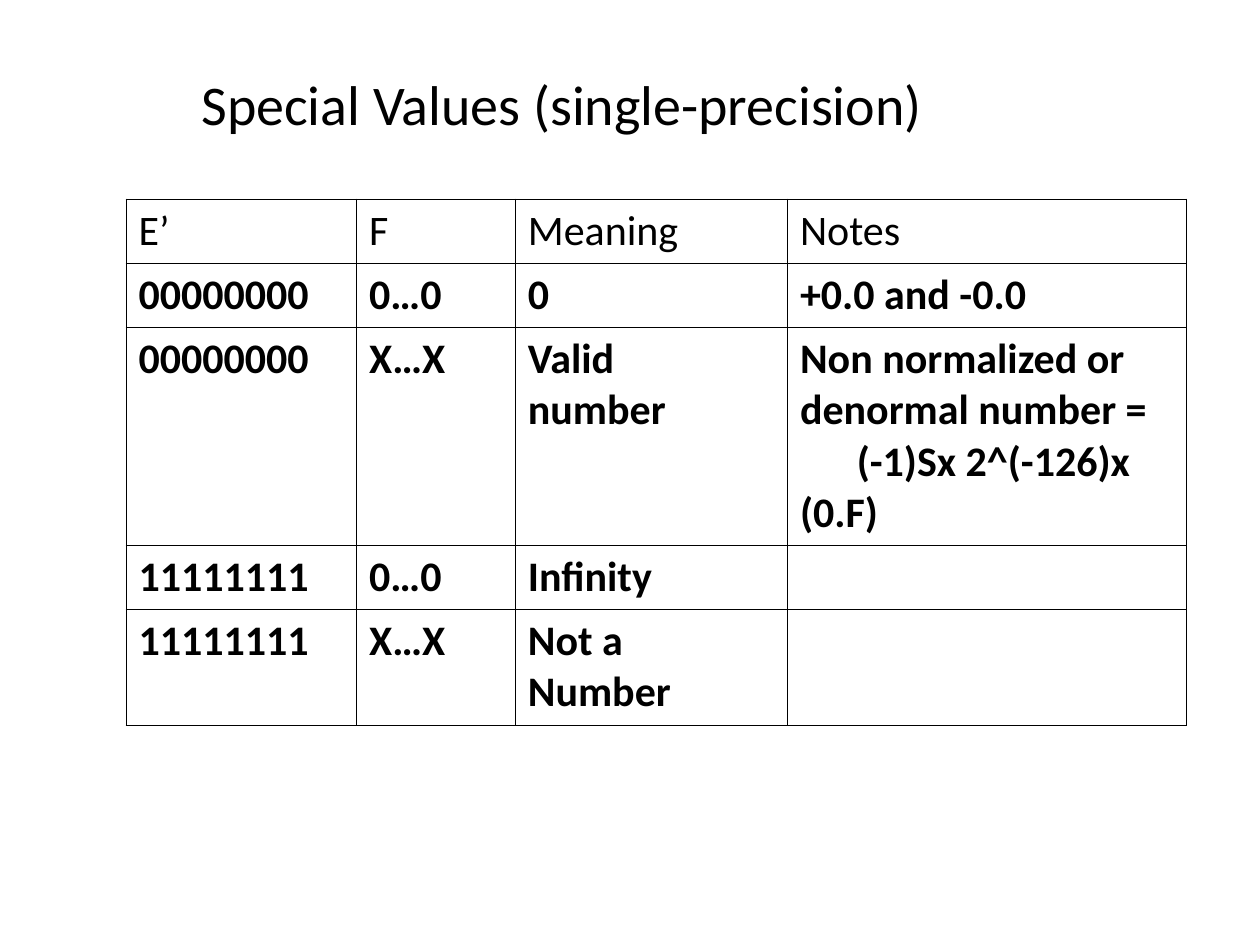
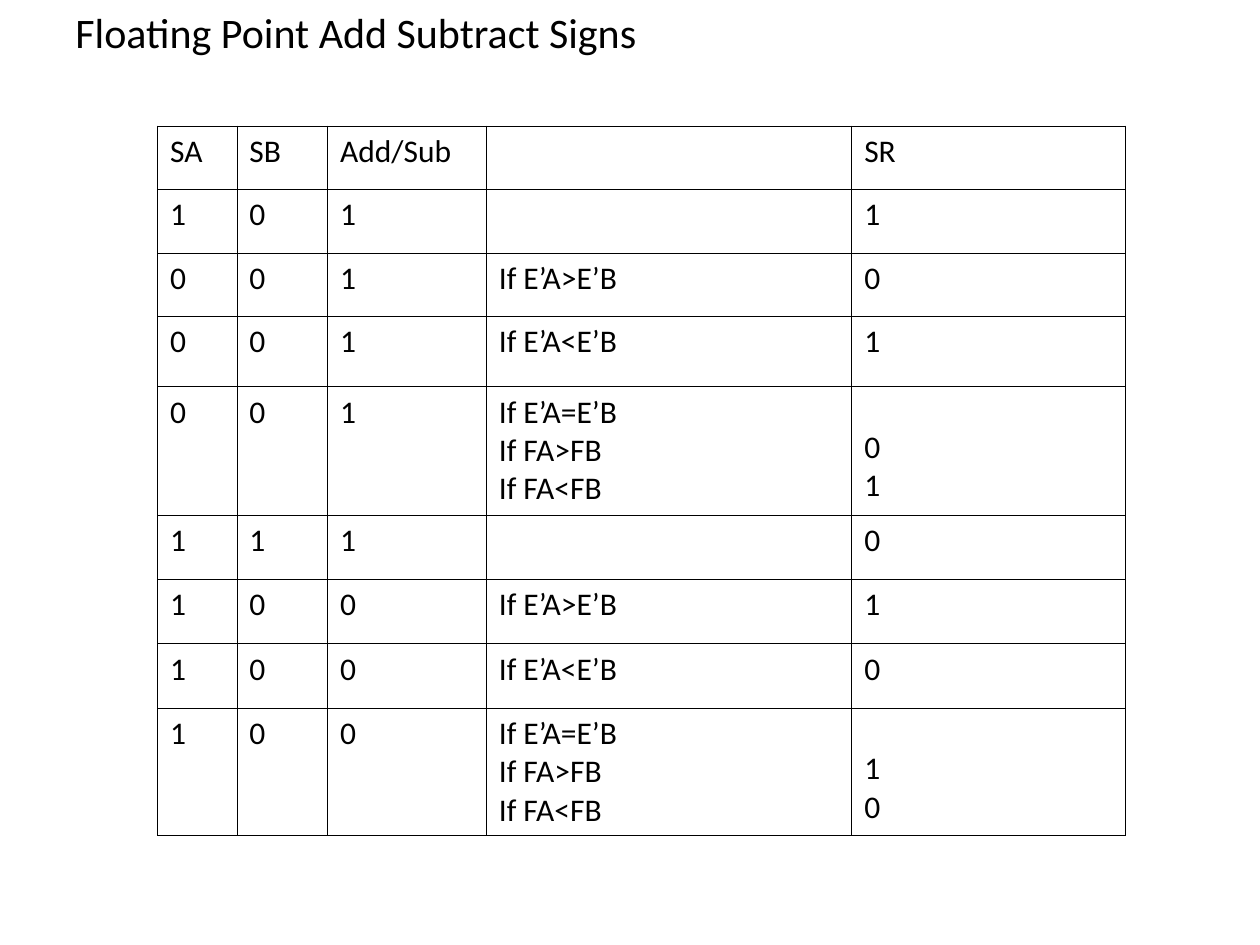
from lxml import etree
from pptx import Presentation
from pptx.dml.color import RGBColor
from pptx.oxml.ns import qn
from pptx.util import Inches, Pt

FONT = "Calibri"
INK = "000000"
BORDER_POINTS = 0.45
BORDER_SIDES = ("a:lnL", "a:lnR", "a:lnT", "a:lnB")
FORMULA_INDENT = 0.45
SKIPPED_LINE = 0.33

CASES = ["If E’A=E’B", "If FA>FB", "If FA<FB"]

SLIDES = [
    {
        "title": "Special Values (single-precision)",
        "title_place": (1.5, 0.5, 6.75, 0.64),
        "title_size": 32,
        "corner": (1, 1.58),
        "columns": [1.83, 1.26, 2.16, 3.17],
        "row_heights": [0.51, 0.51, 1.73, 0.5, 0.92],
        "text_size": 24,
        "bold_body": True,
        "indents": {(2, 3): FORMULA_INDENT},
        "lowered": [],
        "rows": [
            ["E’", "F", "Meaning", "Notes"],
            ["00000000", "0…0", "0", "+0.0 and -0.0"],
            ["00000000", "X…X", ["Valid", "number"],
             ["Non normalized or denormal number =", "(-1)Sx 2^(-126)x (0.F)"]],
            ["11111111", "0…0", "Infinity", ""],
            ["11111111", "X…X", "Not a Number", ""],
        ],
    },
    {
        "title": "Floating Point Add Subtract Signs",
        "title_place": (0.5, 0, 6.92, 0.5),
        "title_size": 24,
        "corner": (1.25, 1),
        "columns": [0.63, 0.72, 1.26, 2.9, 2.17],
        "row_heights": [0.5, 0.51, 0.5, 0.56, 1.02, 0.51, 0.51, 0.51, 1.01],
        "text_size": 18,
        "bold_body": False,
        "indents": {},
        "lowered": [(4, 4), (8, 4)],
        "rows": [
            ["SA", "SB", "Add/Sub", "", "SR"],
            ["1", "0", "1", "", "1"],
            ["0", "0", "1", "If E’A>E’B", "0"],
            ["0", "0", "1", "If E’A<E’B", "1"],
            ["0", "0", "1", CASES, ["0", "1"]],
            ["1", "1", "1", "", "0"],
            ["1", "0", "0", "If E’A>E’B", "1"],
            ["1", "0", "0", "If E’A<E’B", "0"],
            ["1", "0", "0", CASES, ["1", "0"]],
        ],
    },
]


def color(value):
    """Turn a hex string into a colour."""
    return RGBColor.from_string(value)


def write(frame, content, size, bold=False):
    """Fill a text frame with one line or a list of paragraphs."""
    frame.text = content if isinstance(content, str) else "\n".join(content)
    for para in frame.paragraphs:
        for span in para.runs:
            span.font.name = FONT
            span.font.size = Pt(size)
            span.font.bold = bold
            span.font.color.rgb = color(INK)


def outline(cell):
    """Draw thin lines on all four sides of a cell and clear its fill."""
    properties = cell._tc.get_or_add_tcPr()
    for side in BORDER_SIDES:
        line = etree.SubElement(properties, qn(side), w=str(Pt(BORDER_POINTS)))
        fill = etree.SubElement(line, qn("a:solidFill"))
        etree.SubElement(fill, qn("a:srgbClr"), val=INK)
    cell.fill.background()


def add_title(page, content):
    """Place the title of a slide."""
    box = page.shapes.add_textbox(*map(Inches, content["title_place"]))
    box.text_frame.word_wrap = True
    write(box.text_frame, content["title"], content["title_size"])


def add_grid(page, content):
    """Place the table of a slide."""
    rows, columns, heights = content["rows"], content["columns"], content["row_heights"]
    place = (*content["corner"], sum(columns), sum(heights))
    table = page.shapes.add_table(len(rows), len(columns), *map(Inches, place)).table
    table.first_row = table.horz_banding = False
    for column, width in zip(table.columns, columns):
        column.width = Inches(width)
    for row_index, (row, height) in enumerate(zip(rows, heights)):
        table.rows[row_index].height = Inches(height)
        for column_index, text in enumerate(row):
            cell = table.cell(row_index, column_index)
            bold = content["bold_body"] and row_index > 0
            write(cell.text_frame, text, content["text_size"], bold)
            outline(cell)
    for position, indent in content["indents"].items():
        last = table.cell(*position).text_frame.paragraphs[-1]
        last._p.get_or_add_pPr().set("indent", str(Inches(indent)))
    for position in content["lowered"]:
        table.cell(*position).margin_top = Inches(SKIPPED_LINE)


def main():
    """Build and save the deck."""
    deck = Presentation()
    deck.slide_width, deck.slide_height = Inches(10), Inches(7.5)
    for content in SLIDES:
        page = deck.slides.add_slide(deck.slide_layouts[6])
        add_grid(page, content)
        add_title(page, content)
    deck.save("out.pptx")


if __name__ == "__main__":
    main()
